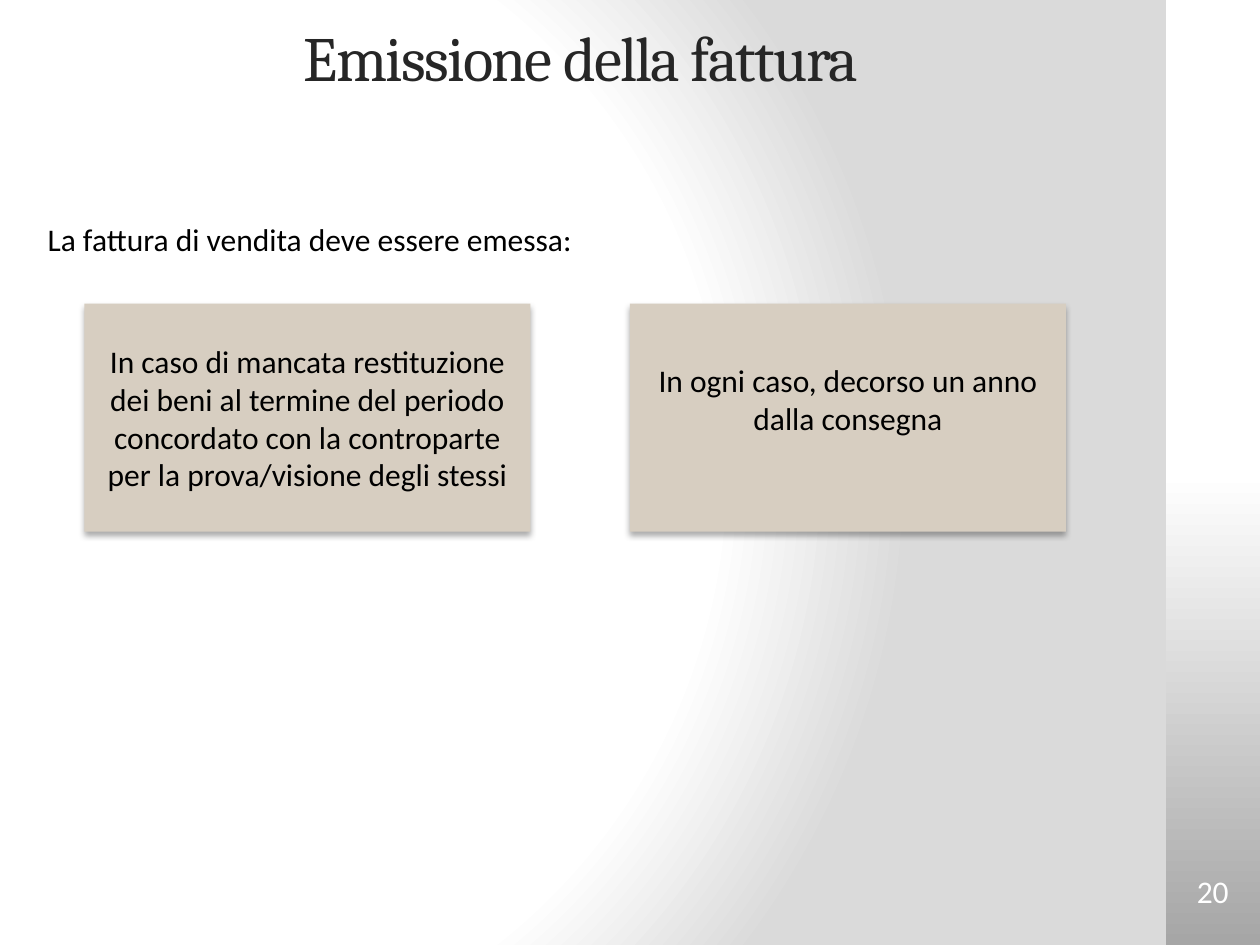
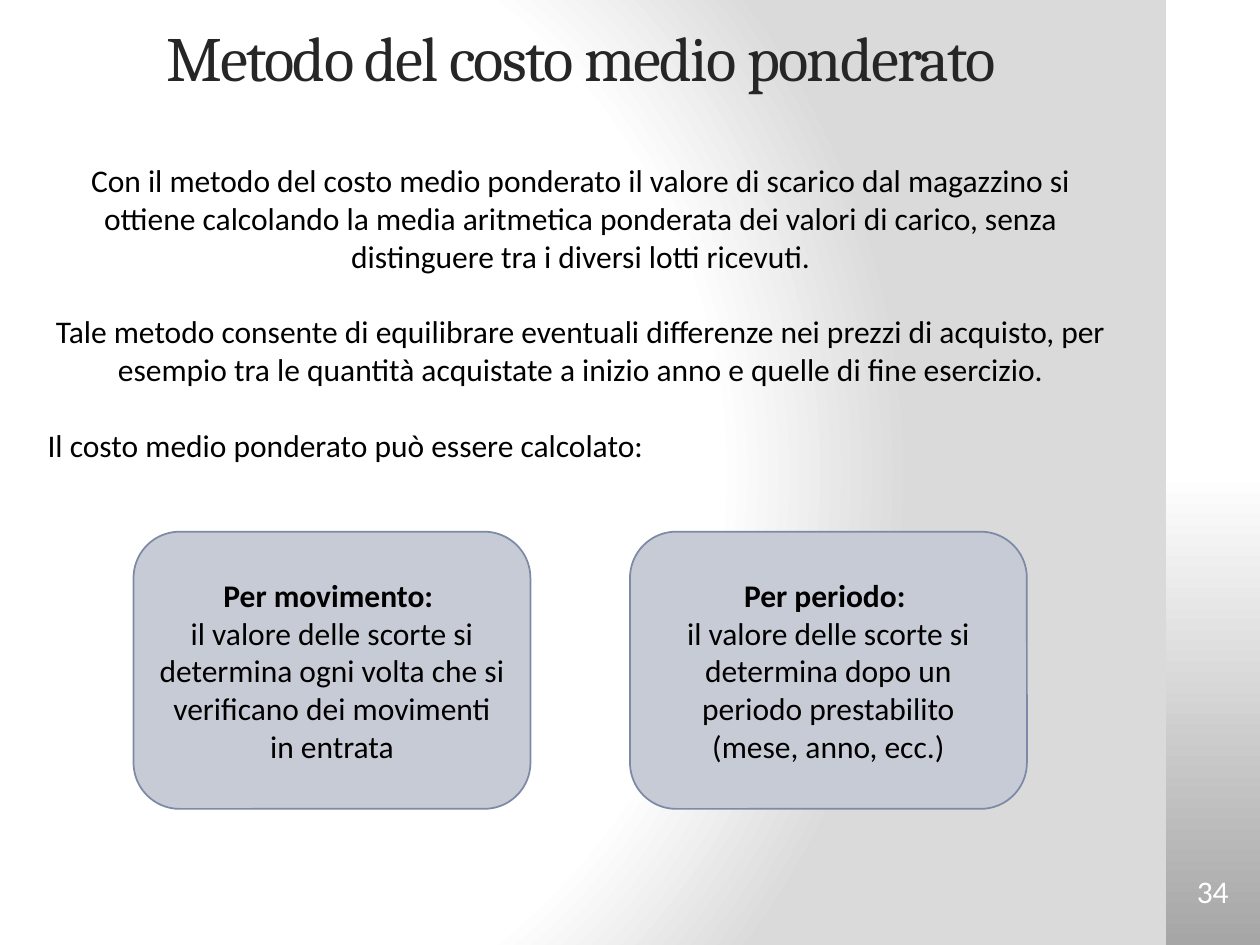
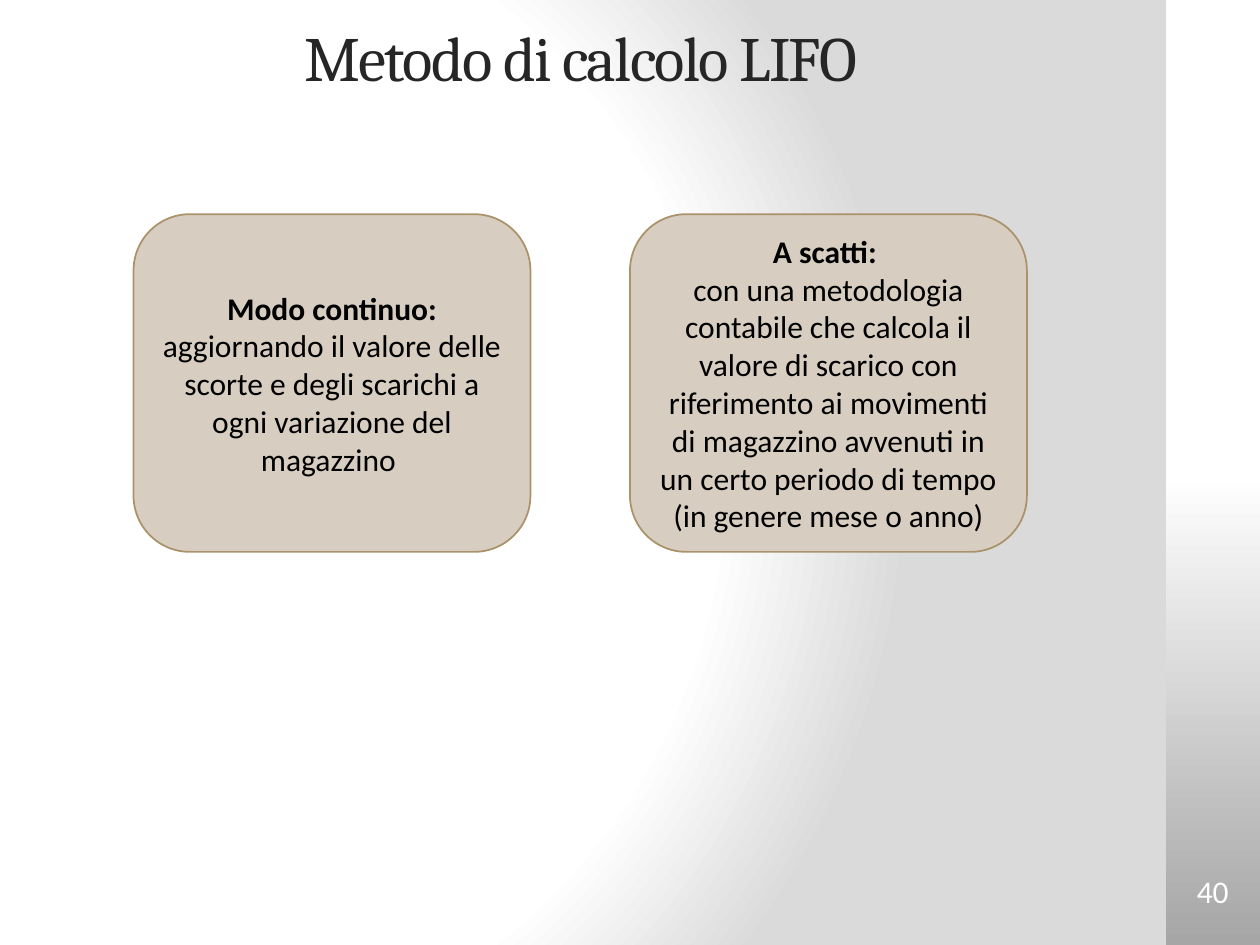
import lxml.etree
import pptx
import pptx.dml.color
import pptx.enum.shapes
import pptx.enum.text
import pptx.oxml.ns
import pptx.util

RGB = pptx.dml.color.RGBColor
Pt = pptx.util.Pt
Emu = pptx.util.Emu
Kind = pptx.enum.shapes.MSO_SHAPE
Align = pptx.enum.text.PP_ALIGN
Anchor = pptx.enum.text.MSO_ANCHOR
Fit = pptx.enum.text.MSO_AUTO_SIZE
qn = pptx.oxml.ns.qn

WHITE = RGB(0xFF, 0xFF, 0xFF)
BLACK = RGB(0x00, 0x00, 0x00)
INK = RGB(0x26, 0x26, 0x26)
PALE = RGB(0xDA, 0xDA, 0xDA)
GREY = RGB(0xA6, 0xA6, 0xA6)
SAND = RGB(0xD7, 0xCE, 0xC1)
GOLD = RGB(0xAA, 0x92, 0x6A)
MIST = RGB(0xC7, 0xCB, 0xD5)
SLATE = RGB(0x7C, 0x8A, 0xA6)

COLS, ROWS = 100, 75
LEFT, WIDE = 2.8, 86.6
CARDS = (10.6, 50)
CARD = 31.5
LINE = Pt(21.6)


def node(parent, tag, **attrs):
    return lxml.etree.SubElement(parent, qn(tag), attrs)


def blend(owner, stops):
    grad = owner.find(".//" + qn("a:gradFill"))
    for child in list(grad):
        grad.remove(child)
    group = node(grad, "a:gsLst")
    for share, tint in stops:
        stop = node(group, "a:gs", pos=str(share * 1000))
        node(stop, "a:srgbClr", val=str(tint))
    return grad


class Deck:
    def __init__(self):
        self.show = pptx.Presentation()
        self.show.slide_width = pptx.util.Inches(10)
        self.show.slide_height = pptx.util.Inches(7.5)
        self.slide = None
        master = self.show.slide_master
        master.background.fill.gradient()
        grad = blend(master.element, [(0, WHITE), (75, WHITE), (100, PALE)])
        way = node(grad, "a:path", path="circle")
        node(way, "a:fillToRect", l="20000", t="50000", r="100000", b="50000")

    def place(self, col, row, cols, rows):
        unit = self.show.slide_width / COLS
        step = self.show.slide_height / ROWS
        return [Emu(round(n)) for n in
                (col * unit, row * step, cols * unit, rows * step)]

    def style(self, run, tint=BLACK, size=18, face="Calibri", bold=False):
        run.font.name = face
        run.font.size = Pt(size)
        run.font.bold = bold
        run.font.color.rgb = tint

    def page(self, title, number):
        self.slide = self.show.slides.add_slide(self.show.slide_layouts[5])
        band = self.shape(Kind.RECTANGLE, (92.5, 0, 7.5, ROWS))
        band.fill.gradient()
        grad = blend(band.element, [(0, WHITE), (50, WHITE), (100, GREY)])
        node(grad, "a:lin", ang="5400000", scaled="0")
        self.title(title)
        badge = self.shape(Kind.OVAL, (92.9, 67.4, 6.7, 6.6))
        frame = badge.text_frame
        frame.margin_left = frame.margin_right = 0
        frame.margin_top = frame.margin_bottom = 0
        self.label(frame, [[number]], tint=WHITE)

    def title(self, text):
        head = self.slide.shapes.title
        head.left, head.top, head.width, head.height = self.place(
            LEFT, 1.4, WIDE, 6.1)
        frame = head.text_frame
        frame.text = text
        frame.auto_size = Fit.NONE
        frame.vertical_anchor = Anchor.MIDDLE
        para = frame.paragraphs[0]
        para.alignment = Align.CENTER
        self.style(para.runs[0], INK, 36, "Cambria")
        head.element.find(".//" + qn("a:rPr")).set("spc", "-100")

    def shape(self, kind, area, fill=None, line=None):
        item = self.slide.shapes.add_shape(kind, *self.place(*area))
        item.shadow.inherit = False
        if fill is None:
            item.fill.background()
        else:
            item.fill.solid()
            item.fill.fore_color.rgb = fill
        if line is None:
            item.line.fill.background()
        else:
            item.line.color.rgb = line
            item.line.width = Pt(1)
        item.text_frame.vertical_anchor = Anchor.MIDDLE
        return item

    def label(self, frame, lines, tint=BLACK, lead=False, align=Align.CENTER):
        frame.word_wrap = True
        for i, parts in enumerate(lines):
            para = frame.add_paragraph() if i else frame.paragraphs[0]
            para.alignment = align
            for j, part in enumerate(parts):
                run = para.add_run()
                run.text = part
                self.style(run, tint, bold=lead and i == j == 0)

    def text(self, row, rows, lines, align):
        box = self.slide.shapes.add_textbox(
            *self.place(LEFT, row, WIDE, rows))
        self.label(box.text_frame, [[line] for line in lines], align=align)
        for para in box.text_frame.paragraphs[1:]:
            para.space_before = LINE
        return box

    def panel(self, col, cols, text):
        item = self.shape(Kind.RECTANGLE, (col, 24.1, cols, 18.1), SAND)
        glow = node(item.element.find(".//" + qn("a:effectLst")),
                    "a:outerShdw", blurRad=str(Pt(3.5)), dist=str(Pt(2.2)),
                    dir="5400000", rotWithShape="0")
        tint = node(glow, "a:srgbClr", val=str(BLACK))
        node(tint, "a:alpha", val="32000")
        self.label(item.text_frame, [[text]])
        return item

    def cards(self, row, rows, fill, line, texts):
        for col, lines in zip(CARDS, texts):
            item = self.shape(Kind.ROUNDED_RECTANGLE,
                              (col, row, CARD, rows), fill, line)
            self.label(item.text_frame, lines, lead=True)


def main():
    deck = Deck()

    deck.page("Emissione della fattura", "20")
    deck.text(17, 4, ["La fattura di vendita deve essere emessa:"], Align.LEFT)
    deck.panel(6.7, 35.4,
               "In caso di mancata restituzione dei beni al termine del "
               "periodo concordato con la controparte per la prova/visione "
               "degli stessi")
    late = deck.panel(50, 34.6, "In ogni caso, decorso un anno dalla consegna")
    late.text_frame.margin_bottom += LINE

    deck.page("Metodo del costo medio ponderato", "34")
    notes = deck.text(12.3, 25.2, [
        "Con il metodo del costo medio ponderato il valore di scarico dal "
        "magazzino si ottiene calcolando la media aritmetica ponderata dei "
        "valori di carico, senza distinguere tra i diversi lotti ricevuti.",
        "Tale metodo consente di equilibrare eventuali differenze nei prezzi "
        "di acquisto, per esempio tra le quantità acquistate a inizio anno e "
        "quelle di fine esercizio.",
        "Il costo medio ponderato può essere calcolato:"], Align.CENTER)
    notes.text_frame.paragraphs[-1].alignment = Align.LEFT
    deck.cards(42.2, 22, MIST, SLATE, [
        [["Per movimento: "],
         ["il valore delle scorte si determina ogni volta che si verificano "
          "dei movimenti in entrata"]],
        [["Per periodo: "],
         ["il valore delle scorte si determina dopo un periodo prestabilito"],
         ["(mese, anno, ecc.)"]]])

    deck.page("Metodo di calcolo LIFO", "40")
    deck.cards(17, 26.8, SAND, GOLD, [
        [["Modo continuo: ",
          "aggiornando il valore delle scorte e degli scarichi a ogni "
          "variazione del magazzino "]],
        [["A scatti: "],
         ["con una metodologia contabile che calcola il"],
         ["valore di scarico con riferimento ai movimenti di magazzino "
          "avvenuti in un certo periodo di tempo (in genere mese o anno)"]]])

    deck.show.save("out.pptx")


if __name__ == "__main__":
    main()
